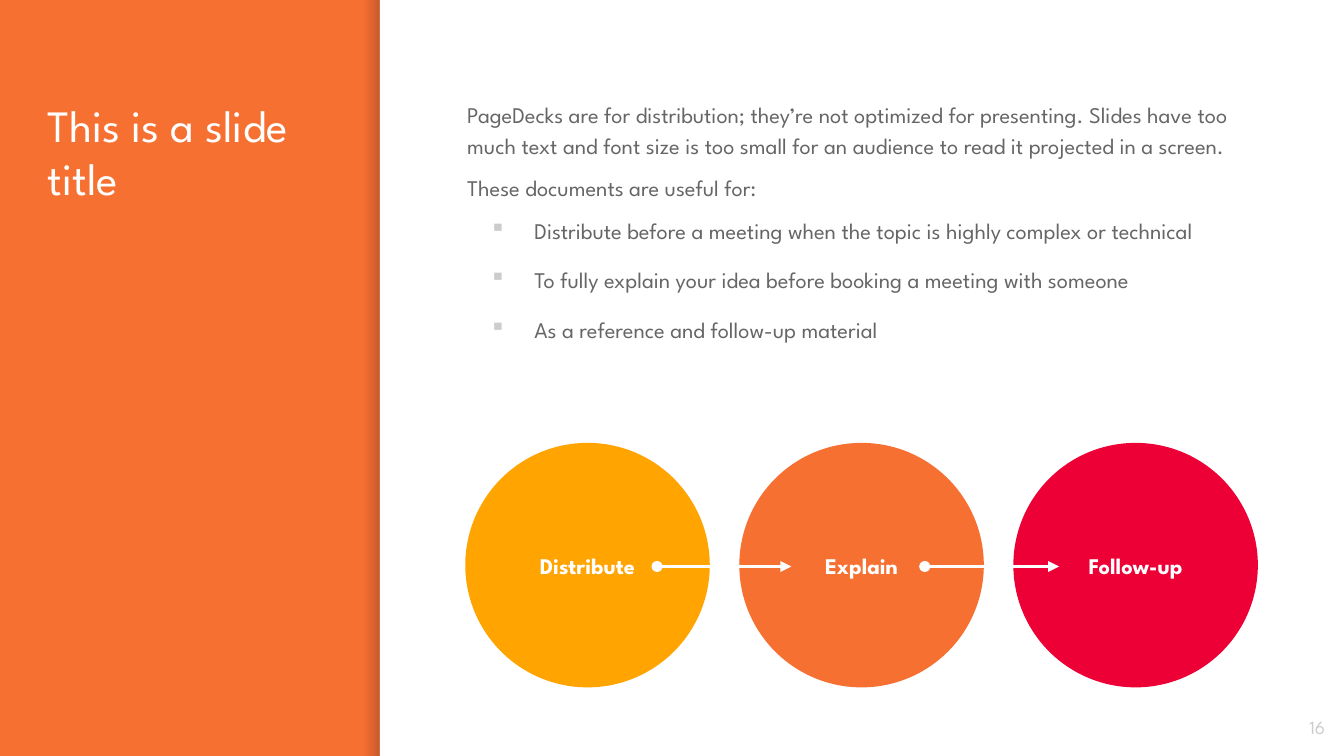
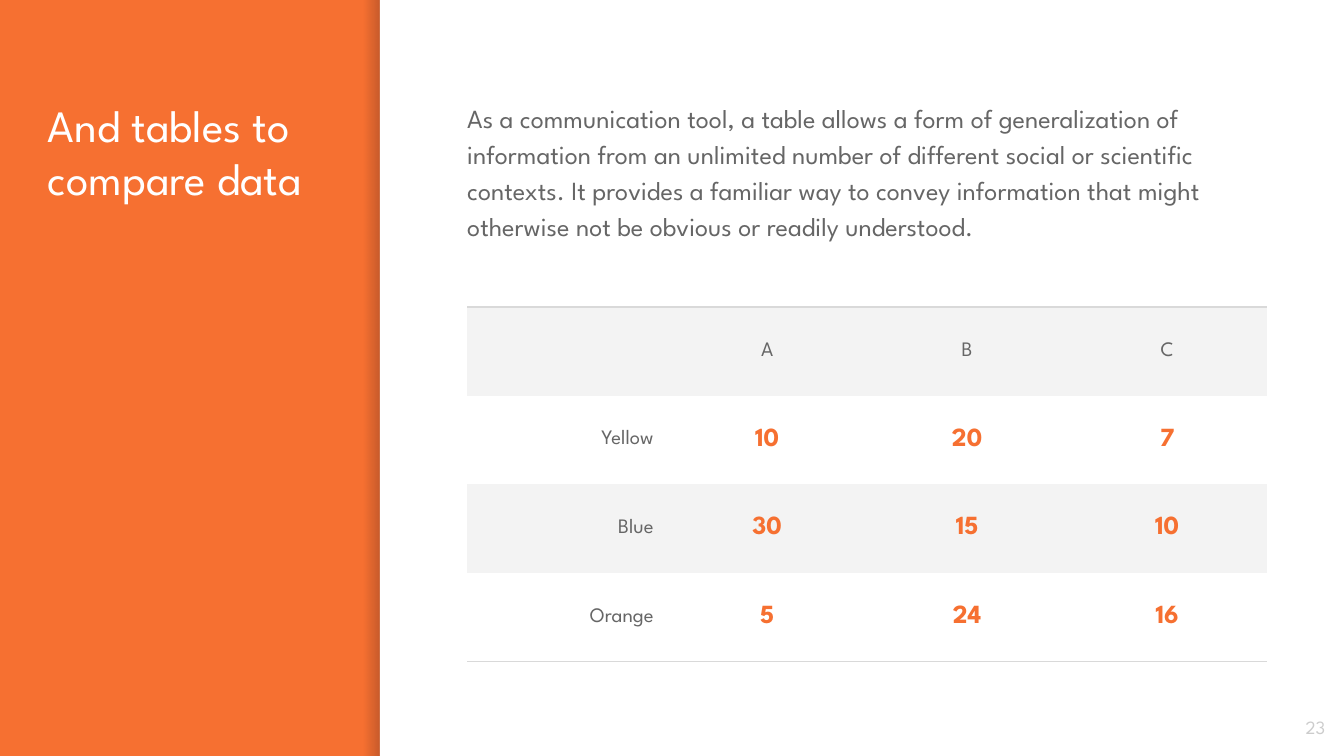
from dataclasses import dataclass

from lxml.etree import SubElement
from pptx import Presentation
from pptx.dml.color import RGBColor
from pptx.enum.shapes import MSO_CONNECTOR, MSO_SHAPE
from pptx.enum.text import MSO_ANCHOR, PP_ALIGN
from pptx.oxml import parse_xml
from pptx.oxml.ns import nsdecls, qn
from pptx.util import Pt


@dataclass(frozen=True)
class Theme:
    font: str = "League Spartan"
    orange: str = "F67031"
    yellow: str = "FFA400"
    red: str = "ED0036"
    white: str = "FFFFFF"
    ink: str = "666666"
    faint: str = "CCCCCC"
    band: str = "F3F3F3"
    rule: str = "D9D9D9"
    shade: str = "000014"
    title_size: int = 24
    lead_size: int = 14
    text_size: int = 12
    label_size: int = 11
    number_size: int = 10


THEME = Theme()

# Content: each paragraph is (text, is a bullet, space before, space after)
PROCESS = {
    "title": "This is a slide title",
    "number": "16",
    "body": [
        ("PageDecks are for distribution; they’re not optimized for presenting. Slides have too "
         "much text and font size is too small for an audience to read it projected in a screen.",
         False, 6, 0),
        ("These documents are useful for:", False, 6, 0),
        ("Distribute before a meeting when the topic is highly complex or technical", True, 6, 0),
        ("To fully explain your idea before booking a meeting with someone", True, 10, 0),
        ("As a reference and follow-up material", True, 10, 10),
    ],
    "steps": [("Distribute", THEME.yellow), ("Explain", THEME.orange), ("Follow-up", THEME.red)],
}
COMPARISON = {
    "title": "And tables to compare data",
    "number": "23",
    "body": [
        ("As a communication tool, a table allows a form of generalization of information from an "
         "unlimited number of different social or scientific contexts. It provides a familiar way "
         "to convey information that might otherwise not be obvious or readily understood.",
         False, 6, 0),
    ],
    "rows": [
        ("", "A", "B", "C"),
        ("Yellow", "10", "20", "7"),
        ("Blue", "30", "15", "10"),
        ("Orange", "5", "24", "16"),
    ],
}

# Layout, in points
SLIDE_W, SLIDE_H = 720, 405
PANEL_LEFT = 203.5
SHADE_W = 9
TITLE_BOX = (18.5, 45, 161.5, 313)
NUMBER_BOX = (674, 374, 43, 31)
BODY_LEFT, BODY_TOP, BODY_W = 243.25, 45, 441
INSET = 7.2
BULLET_LEFT, BULLET_HANG = 36, 24
CIRCLE_LEFT, CIRCLE_TOP, CIRCLE_SIZE, CIRCLE_PITCH = 249.25, 237.25, 131, 146.8
ARROW_LEFT, ARROW_Y, ARROW_LENGTH, ARROW_PITCH = 352, 303.5, 72, 143.4
TABLE_LEFT, TABLE_TOP, COLUMN_W, ROW_H = 250.25, 164.5, 107.15, 47.5
CELL_INSET_Y = 5
PLAIN_TABLE_STYLE = "{2D5ABB26-0587-4C30-8999-92F81FD0307C}"


def rgb(color):
    return RGBColor.from_string(color)


def points(*values):
    return [Pt(value) for value in values]


def style_paragraph(paragraph, size, color, align=PP_ALIGN.LEFT, bold=False):
    paragraph.alignment = align
    for run in paragraph.runs:
        run.font.name = THEME.font
        run.font.size = Pt(size)
        run.font.bold = bold
        run.font.color.rgb = rgb(color)


def prepare_frame(frame, anchor):
    frame.word_wrap = True
    frame.vertical_anchor = anchor
    frame.margin_left = frame.margin_right = Pt(INSET)
    frame.margin_top = frame.margin_bottom = Pt(INSET)


def add_text(slide, box, text, size, color, align=PP_ALIGN.LEFT, anchor=MSO_ANCHOR.TOP):
    frame = slide.shapes.add_textbox(*points(*box)).text_frame
    prepare_frame(frame, anchor)
    frame.text = text
    style_paragraph(frame.paragraphs[0], size, color, align)


def add_plain_shape(slide, kind, box, color=None):
    shape = slide.shapes.add_shape(kind, *points(*box))
    shape.shadow.inherit = False
    shape.line.fill.background()
    if color:
        shape.fill.solid()
        shape.fill.fore_color.rgb = rgb(color)
    return shape


def add_edge_shade(slide):
    """Darken the strip beside the white panel, from clear to 20 % opaque."""
    strip = add_plain_shape(slide, MSO_SHAPE.RECTANGLE, (PANEL_LEFT - SHADE_W, 0, SHADE_W, SLIDE_H))
    strip.fill.gradient()
    strip.fill.gradient_angle = 0
    for stop in strip.fill.gradient_stops:
        stop.color.rgb = rgb(THEME.shade)
    stop_colors = strip.element.iterfind(f".//{qn('a:gs')}/{qn('a:srgbClr')}")
    for color, alpha in zip(stop_colors, ("0", "20000")):
        SubElement(color, qn("a:alpha"), val=alpha)


def start_slide(deck, content):
    """Add a slide with the parts that every slide shares."""
    slide = deck.slides.add_slide(deck.slide_layouts[6])
    slide.background.fill.solid()
    slide.background.fill.fore_color.rgb = rgb(THEME.orange)
    add_edge_shade(slide)
    panel = (PANEL_LEFT, 0, SLIDE_W - PANEL_LEFT, SLIDE_H)
    add_plain_shape(slide, MSO_SHAPE.RECTANGLE, panel, THEME.white)
    add_text(slide, TITLE_BOX, content["title"], THEME.title_size, THEME.white)
    add_text(slide, NUMBER_BOX, content["number"], THEME.number_size, THEME.faint,
             PP_ALIGN.RIGHT, MSO_ANCHOR.MIDDLE)
    return slide


def add_bullet(paragraph):
    properties = paragraph._p.get_or_add_pPr()
    properties.set("marL", str(Pt(BULLET_LEFT)))
    properties.set("indent", str(-Pt(BULLET_HANG)))
    bullet_color = SubElement(properties, qn("a:buClr"))
    SubElement(bullet_color, qn("a:srgbClr"), val=THEME.faint)
    SubElement(properties, qn("a:buChar"), char="▪")


def add_body(slide, body, height, size):
    box = points(BODY_LEFT, BODY_TOP, BODY_W, height)
    frame = slide.shapes.add_textbox(*box).text_frame
    prepare_frame(frame, MSO_ANCHOR.TOP)
    frame.text = "\n".join(text for text, *_ in body)
    for paragraph, (_, bulleted, before, after) in zip(frame.paragraphs, body):
        style_paragraph(paragraph, size, THEME.ink)
        paragraph.line_spacing = 1.15
        paragraph.space_before = Pt(before)
        paragraph.space_after = Pt(after)
        if bulleted:
            add_bullet(paragraph)


def add_arrow(slide, left):
    ends = points(left, ARROW_Y, left + ARROW_LENGTH, ARROW_Y)
    arrow = slide.shapes.add_connector(MSO_CONNECTOR.STRAIGHT, *ends)
    arrow.line.width = Pt(1.5)
    arrow.line.color.rgb = rgb(THEME.white)
    properties = arrow.element.spPr
    outline = properties.find(qn("a:ln"))
    SubElement(outline, qn("a:headEnd"), type="oval")
    SubElement(outline, qn("a:tailEnd"), type="triangle")
    SubElement(properties, qn("a:effectLst"))


def add_steps(slide, steps):
    for index, (label, color) in enumerate(steps):
        left = CIRCLE_LEFT + index * CIRCLE_PITCH
        box = (left, CIRCLE_TOP, CIRCLE_SIZE, CIRCLE_SIZE)
        frame = add_plain_shape(slide, MSO_SHAPE.OVAL, box, color).text_frame
        prepare_frame(frame, MSO_ANCHOR.MIDDLE)
        frame.text = label
        style_paragraph(frame.paragraphs[0], THEME.text_size, THEME.white, PP_ALIGN.CENTER, True)
    for index in range(len(steps) - 1):
        add_arrow(slide, ARROW_LEFT + index * ARROW_PITCH)


def add_cell_rule(cell, side):
    """Draw a thin rule on one side of a cell: lnT is the top, lnB the bottom."""
    rule = parse_xml(
        f'<a:{side} {nsdecls("a")} w="{Pt(0.75)}"><a:solidFill>'
        f'<a:srgbClr val="{THEME.rule}"/></a:solidFill></a:{side}>'
    )
    cell._tc.get_or_add_tcPr().insert(0, rule)


def fill_cell(cell, text, row, column):
    cell.vertical_anchor = MSO_ANCHOR.MIDDLE
    cell.margin_left = cell.margin_right = Pt(INSET)
    cell.margin_top = cell.margin_bottom = Pt(CELL_INSET_Y)
    if row % 2 == 0:
        cell.fill.solid()
        cell.fill.fore_color.rgb = rgb(THEME.band)
    else:
        cell.fill.background()
    cell.text_frame.text = text
    is_value = row > 0 and column > 0
    style_paragraph(
        cell.text_frame.paragraphs[0],
        THEME.lead_size if is_value else THEME.label_size,
        THEME.orange if is_value else THEME.ink,
        PP_ALIGN.CENTER if column else PP_ALIGN.RIGHT,
        is_value,
    )


def add_comparison(slide, rows):
    row_count, column_count = len(rows), len(rows[0])
    box = points(TABLE_LEFT, TABLE_TOP, column_count * COLUMN_W, row_count * ROW_H)
    frame = slide.shapes.add_table(row_count, column_count, *box)
    frame.element.find(f".//{qn('a:tableStyleId')}").text = PLAIN_TABLE_STYLE
    table = frame.table
    table.first_row = table.horz_banding = False
    for row, texts in enumerate(rows):
        for column, text in enumerate(texts):
            cell = table.cell(row, column)
            fill_cell(cell, text, row, column)
            if row == 0:
                add_cell_rule(cell, "lnT")
            elif row == row_count - 1:
                add_cell_rule(cell, "lnB")


def main():
    deck = Presentation()
    deck.slide_width, deck.slide_height = points(SLIDE_W, SLIDE_H)

    process = start_slide(deck, PROCESS)
    add_body(process, PROCESS["body"], 217.5, THEME.text_size)
    add_steps(process, PROCESS["steps"])

    comparison = start_slide(deck, COMPARISON)
    add_body(comparison, COMPARISON["body"], 83.5, THEME.lead_size)
    add_comparison(comparison, COMPARISON["rows"])

    deck.save("out.pptx")


if __name__ == "__main__":
    main()
